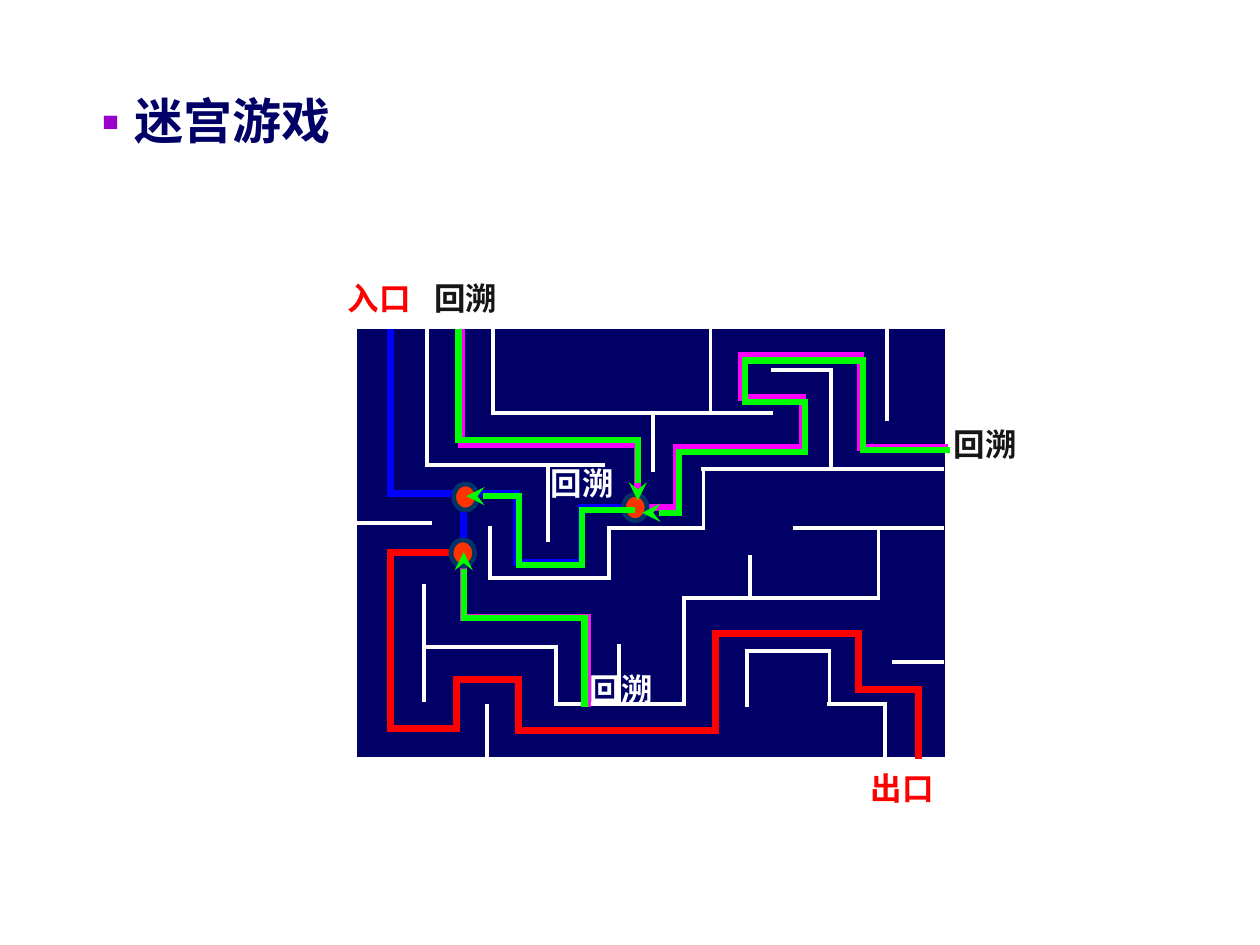
from dataclasses import dataclass
from itertools import pairwise

from lxml import etree
from pptx import Presentation
from pptx.dml.color import RGBColor
from pptx.enum import shapes, text
from pptx.oxml import ns
from pptx.util import Pt

NAVY = RGBColor(0x00, 0x00, 0x66)
WHITE = RGBColor(0xFF, 0xFF, 0xFF)
BLACK = RGBColor(0x16, 0x16, 0x16)
BLUE = RGBColor(0x00, 0x00, 0xFF)
RED = RGBColor(0xFF, 0x00, 0x00)
MAGENTA = RGBColor(0xFF, 0x00, 0xFF)
ORCHID = RGBColor(0xE9, 0x1D, 0xE4)
GREEN = RGBColor(0x00, 0xFF, 0x00)
ORANGE = RGBColor(0xFF, 0x33, 0x00)
TEAL = RGBColor(0x00, 0x33, 0x66)

CJK_FONT = "Noto Sans CJK SC"
TITLE_FONT = "Times New Roman"
LEFT, TOP, RIGHT, BOTTOM = 202.5, 186.5, 541.5, 434
Point = tuple[float, float]


@dataclass
class Route:
    color: RGBColor
    points: list[Point]
    width: float = 4
    arrow: bool = False


@dataclass
class Label:
    words: str
    left: float
    top: float
    width: float
    color: RGBColor
    height: float = 29
    line_spacing: float = 1.0


WALLS = [
    [(244, TOP), (244, 266), (346, 266)],
    [(281.5, TOP), (281.5, 236), (442, 236)],
    [(313, 266), (313, 309.5)],
    [(373, 236), (373, 269.5)],
    [(406, TOP), (406, 236)],
    [(440.5, 211.5), (475, 211.5), (475, 268)],
    [(539.5, 268), (402, 268), (402, 301.5), (348, 301.5),
     (348, 330.5), (280, 330.5), (280, 300.5)],
    [(507, TOP), (507, 240.5)],
    [(201, 299), (247, 299)],
    [(242.5, 333.5), (242.5, 401)],
    [(242.5, 369.5), (317.5, 369.5), (317.5, 402.5), (391, 402.5),
     (391, 341.5), (502, 341.5), (502, 301.5)],
    [(505.5, 435.5), (505.5, 402.5), (474, 402.5), (474, 372), (427, 372), (427, 404)],
    [(510, 378.5), (539.5, 378.5)],
    [(539.5, 301.5), (453, 301.5)],
    [(278.5, 402.5), (278.5, 433)],
    [(428.5, 341.5), (428.5, 317)],
    [(353.5, 402.5), (353.5, 368)],
]

EXPLORED = [
    Route(BLUE, [(223, 188), (223, 282), (265, 282), (265, 315.5)]),
    Route(RED, [(265, 315.5), (223, 315.5), (223, 416.5), (261, 416.5), (261, 388.5),
                (296.5, 388.5), (296.5, 417.5), (409, 417.5), (409, 362),
                (490.5, 362), (490.5, 394), (525, 394), (525, BOTTOM)]),
    Route(BLUE, [(263.5, 282), (295, 282), (295, 321.5), (332.5, 321.5),
                 (332.5, 290), (364.5, 290)]),
    Route(MAGENTA, [(364.5, 290), (364.5, 254), (263.5, 254), (263.5, 188)]),
    Route(MAGENTA, [(364.5, 290), (386.5, 290), (386.5, 255.5), (458.5, 255.5),
                    (458.5, 227), (424, 227), (424, 203), (492, 203),
                    (492, 255.5), (RIGHT, 255.5)]),
    Route(ORCHID, [(265, 314), (265, 353), (335.5, 353), (335.5, 404)]),
]

BACKTRACKED = [
    Route(GREEN, points, width=3.5, arrow=True) for points in (
        [(364.5, 286), (364.5, 251.5), (262, 251.5), (262, 188)],
        [(367, 293), (388, 293), (388, 258.5), (460, 258.5), (460, 229.5),
         (425.5, 229.5), (425.5, 206), (493, 206), (493, 257), (543, 257)],
        [(266.5, 283.5), (296.5, 283.5), (296.5, 323), (332.5, 323),
         (332.5, 291.5), (363, 291.5)],
        [(265, 315.5), (265, 353), (334, 353), (334, 404)],
    )
]

JUNCTIONS = [(266, 284), (363, 290), (264.5, 316)]

LABELS = [
    Label("回溯", 241, 156, 57, BLACK),
    Label("回溯", 538, 239, 60, BLACK),
    Label("入口", 191.5, 160, 68, RED, 24.5, 0.8),
    Label("出口", 490.5, 440, 73, RED, 24.5, 0.8),
    Label("回溯", 330, 379, 60, WHITE),
    Label("回溯", 307.5, 261.5, 60, WHITE),
]


def extend(start: Point, end: Point, amount: float) -> Point:
    """Move the end of an upright or level segment outward."""
    return tuple(b + amount * ((b > a) - (b < a)) for a, b in zip(start, end))


def draw_route(slide, route: Route) -> None:
    """Draw each leg as a connector, overlapping at the corners."""
    last = len(route.points) - 2
    for index, (start, end) in enumerate(pairwise(route.points)):
        begin_overlap = route.width / 2 if index > 0 else 0
        end_overlap = route.width / 2 if index < last else 0
        x1, y1 = extend(end, start, begin_overlap)
        x2, y2 = extend(start, end, end_overlap)
        line = slide.shapes.add_connector(
            shapes.MSO_CONNECTOR.STRAIGHT, Pt(x1), Pt(y1), Pt(x2), Pt(y2))
        line.line.color.rgb = route.color
        line.line.width = Pt(route.width)
        properties = line._element.spPr
        if route.arrow and index == 0:
            etree.SubElement(properties.find(ns.qn("a:ln")), ns.qn("a:headEnd"), type="stealth")
        etree.SubElement(properties, ns.qn("a:effectLst"))


def draw_shape(slide, kind, left: float, top: float, width: float, height: float,
               fill: RGBColor, outline: RGBColor, outline_width: float) -> None:
    shape = slide.shapes.add_shape(kind, Pt(left), Pt(top), Pt(width), Pt(height))
    shape.shadow.inherit = False
    shape.fill.solid()
    shape.fill.fore_color.rgb = fill
    shape.line.color.rgb = outline
    shape.line.width = Pt(outline_width)


def write(shape, words: str, size: float, color: RGBColor, font: str):
    """Write one bold, left-aligned paragraph and return it."""
    frame = shape.text_frame
    frame.word_wrap = True
    frame.auto_size = text.MSO_AUTO_SIZE.NONE
    frame.vertical_anchor = text.MSO_ANCHOR.MIDDLE
    paragraph = frame.paragraphs[0]
    paragraph.alignment = text.PP_ALIGN.LEFT
    run = paragraph.add_run()
    run.text = words
    run.font.size = Pt(size)
    run.font.bold = True
    run.font.color.rgb = color
    run.font.name = font
    latin = run._r.rPr.find(ns.qn("a:latin"))
    latin.addnext(etree.Element(ns.qn("a:ea"), typeface=CJK_FONT))
    return paragraph


def draw_label(slide, label: Label) -> None:
    box = slide.shapes.add_textbox(
        Pt(label.left), Pt(label.top), Pt(label.width), Pt(label.height))
    paragraph = write(box, label.words, 18, label.color, CJK_FONT)
    paragraph.line_spacing = label.line_spacing


def draw_title(slide) -> None:
    title = slide.shapes.title
    title.left, title.top, title.width, title.height = Pt(42), Pt(48), Pt(219), Pt(41)
    properties = write(title, "迷宫游戏", 28, NAVY, TITLE_FONT)._p.get_or_add_pPr()
    properties.set("marL", str(Pt(16)))
    properties.set("indent", str(-Pt(16)))
    bullet_color = etree.SubElement(properties, ns.qn("a:buClr"))
    etree.SubElement(bullet_color, ns.qn("a:srgbClr"), val="9900CC")
    etree.SubElement(properties, ns.qn("a:buFont"), typeface=CJK_FONT)
    etree.SubElement(properties, ns.qn("a:buChar"), char="▪")


def main() -> None:
    presentation = Presentation()
    presentation.slide_width, presentation.slide_height = Pt(720), Pt(540)
    slide = presentation.slides.add_slide(presentation.slide_layouts[5])
    draw_title(slide)
    draw_shape(slide, shapes.MSO_SHAPE.RECTANGLE, LEFT, TOP, RIGHT - LEFT, BOTTOM - TOP,
               NAVY, WHITE, 3)
    for route in [Route(WHITE, points, width=2.25) for points in WALLS] + EXPLORED:
        draw_route(slide, route)
    for x, y in JUNCTIONS:
        draw_shape(slide, shapes.MSO_SHAPE.OVAL, x - 6.75, y - 7.5, 13.5, 15,
                   ORANGE, TEAL, 2.75)
    for route in BACKTRACKED:
        draw_route(slide, route)
    for label in LABELS:
        draw_label(slide, label)
    presentation.save("out.pptx")


if __name__ == "__main__":
    main()
